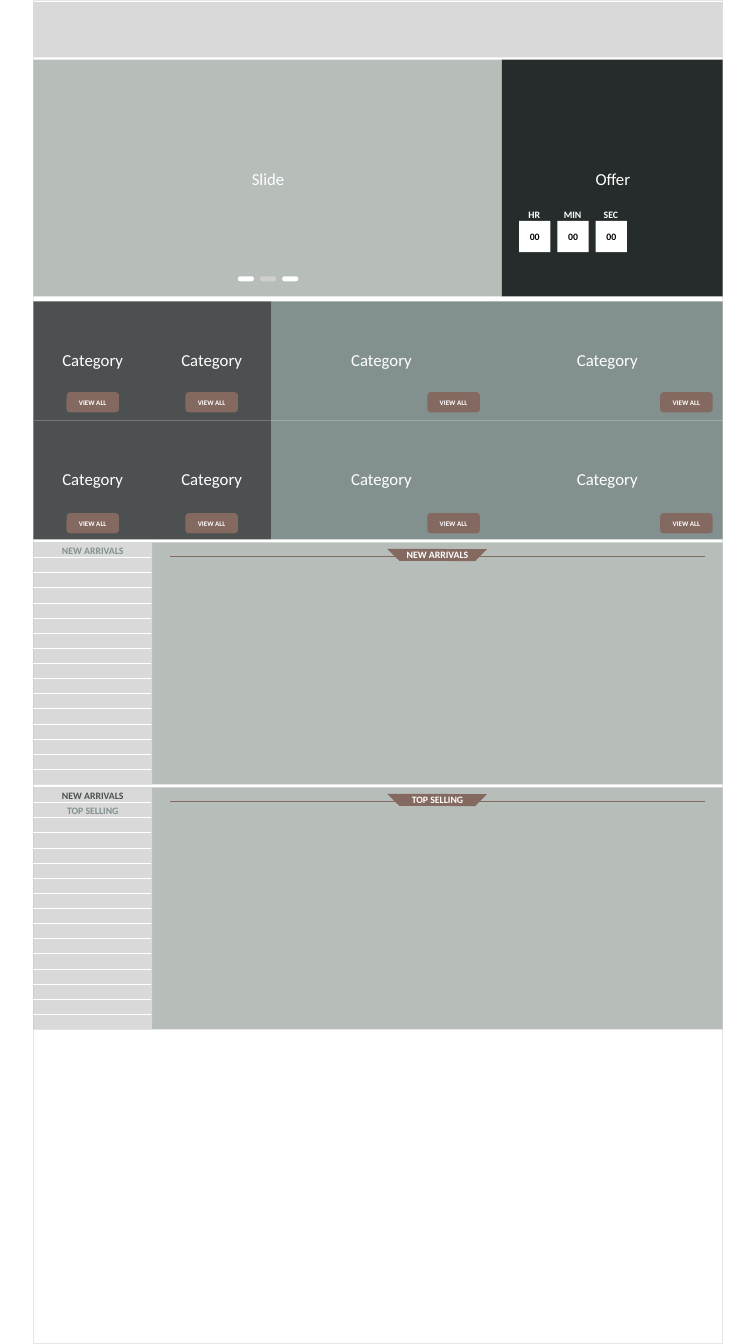
"""Build a wireframe of a shop home page on one tall slide."""
from dataclasses import dataclass
from itertools import product

from lxml.etree import SubElement
from pptx import Presentation
from pptx.dml.color import RGBColor
from pptx.enum.shapes import MSO_CONNECTOR, MSO_SHAPE
from pptx.enum.text import MSO_ANCHOR, MSO_AUTO_SIZE, PP_ALIGN
from pptx.oxml.ns import qn
from pptx.util import Inches, Pt


@dataclass(frozen=True)
class Theme:
    font: str = "Calibri"
    white: str = "FFFFFF"
    black: str = "000000"
    frame: str = "E7E6E6"
    sage: str = "B7BDB9"
    night: str = "262B2B"
    slate: str = "4C5051"
    teal: str = "829190"
    brown: str = "83695F"
    pale: str = "D9D9D9"
    dot: str = "D0CECE"
    large: float = 12
    small: float = 7
    tiny: float = 5


class Page:
    def __init__(self, slide, theme):
        self.shapes = slide.shapes
        self.theme = theme

    def letter(self, shape, text, size, color, bold):
        frame = shape.text_frame
        frame.text = text
        frame.word_wrap = False
        para = frame.paragraphs[0]
        para.alignment = PP_ALIGN.CENTER
        font = para.runs[0].font
        font.name, font.size, font.bold = self.theme.font, Pt(size), bold
        font.color.rgb = RGBColor.from_string(color)
        return frame

    def block(self, x, y, w, h, fill=None, kind=MSO_SHAPE.RECTANGLE):
        shape = self.shapes.add_shape(kind, Inches(x), Inches(y), Inches(w), Inches(h))
        shape.shadow.inherit = False
        shape.line.fill.background()
        if fill:
            shape.fill.solid()
            shape.fill.fore_color.rgb = RGBColor.from_string(fill)
        else:
            shape.fill.background()
        return shape

    def badge(self, x, y, w, h, text, fill, size, color, kind=MSO_SHAPE.RECTANGLE):
        shape = self.block(x, y, w, h, fill, kind)
        frame = self.letter(shape, text, size, color, True)
        frame.vertical_anchor = MSO_ANCHOR.MIDDLE

    def label(self, mid, y, w, text, size, color, bold=True):
        high = 0.3 if size == self.theme.large else 0.22
        box = self.shapes.add_textbox(Inches(mid - w / 2), Inches(y), Inches(w), Inches(high))
        frame = self.letter(box, text, size, color, bold)
        frame.auto_size = MSO_AUTO_SIZE.SHAPE_TO_FIT_TEXT

    def rule(self, left, right, y, color):
        line = self.shapes.add_connector(
            MSO_CONNECTOR.STRAIGHT, Inches(left), Inches(y), Inches(right), Inches(y))
        line.line.width = Pt(0.5)
        line.line.color.rgb = RGBColor.from_string(color)
        SubElement(line._element.spPr, qn("a:effectLst"))

    def panel(self, y, title, menu):
        look = self.theme
        widths = {"NEW ARRIVALS": 0.83, "TOP SELLING": 0.72}
        self.block(0.33, y, 6.84, 2.4, look.sage)
        self.block(0.33, y, 1.18, 2.4, look.pale)
        for row in range(1, 16):
            self.rule(0.33, 1.5, y + row * 0.15, look.white)
        ribbon = self.block(3.98, y - 0.28, 0.71, 0.69, look.brown, MSO_SHAPE.DIAGONAL_STRIPE)
        ribbon.adjustments[0] = 0.76
        ribbon.rotation = 224.4
        self.rule(1.69, 6.99, y + 0.14, look.brown)
        self.label(4.34, y + 0.01, widths[title], title, look.small, look.white)
        for row, item in enumerate(menu):
            color = look.teal if item == title else look.slate
            self.label(0.92, y - 0.03 + row * 0.15, widths[item], item, look.small, color)


def main():
    deck = Presentation()
    deck.slide_width, deck.slide_height = Inches(7.5), Inches(13.33)
    look = Theme()
    page = Page(deck.slides.add_slide(deck.slide_layouts[6]), look)

    frame = page.block(0.33, 0, 6.84, 13.33)
    frame.line.color.rgb = RGBColor.from_string(look.frame)
    frame.line.width = Pt(1)
    header = page.block(0.33, 0.02, 6.84, 0.55, look.pale, MSO_SHAPE.ROUNDED_RECTANGLE)
    header.adjustments[0] = 0

    page.block(0.33, 0.59, 4.65, 2.35, look.sage)
    page.block(4.98, 0.59, 2.19, 2.35, look.night)
    page.label(2.66, 1.62, 0.53, "Slide", look.large, look.white, False)
    page.label(6.08, 1.62, 0.55, "Offer", look.large, look.white, False)
    for col, (unit, width) in enumerate([("HR", 0.32), ("MIN", 0.38), ("SEC", 0.35)]):
        mid = 5.3 + col * 0.38
        page.badge(mid - 0.15, 2.19, 0.31, 0.31, "00", look.white, look.small, look.black)
        page.label(mid, 2.02, width, unit, look.small, look.white)
    for col, color in enumerate([look.white, look.dot, look.white]):
        page.block(2.36 + col * 0.22, 2.74, 0.16, 0.05, color, MSO_SHAPE.FLOWCHART_TERMINATOR)

    rows = [(2.99, 3.89), (4.17, 5.09)]
    cols = [(0.33, 1.18, 0.66, look.slate), (1.51, 1.18, 1.84, look.slate),
            (2.69, 2.19, 4.24, look.teal), (4.88, 2.29, 6.55, look.teal)]
    for (top, low), (left, width, side, color) in product(rows, cols):
        page.block(left, top, width, 1.18, color)
        page.badge(side, low, 0.52, 0.2, "VIEW ALL", look.brown, look.tiny, look.white,
                   MSO_SHAPE.ROUNDED_RECTANGLE)
        page.label(left + width / 2, top + 0.43, 0.82, "Category", look.large, look.white, False)

    page.panel(5.38, "NEW ARRIVALS", ["NEW ARRIVALS"])
    page.panel(7.81, "TOP SELLING", ["NEW ARRIVALS", "TOP SELLING"])
    deck.save("out.pptx")


if __name__ == "__main__":
    main()
